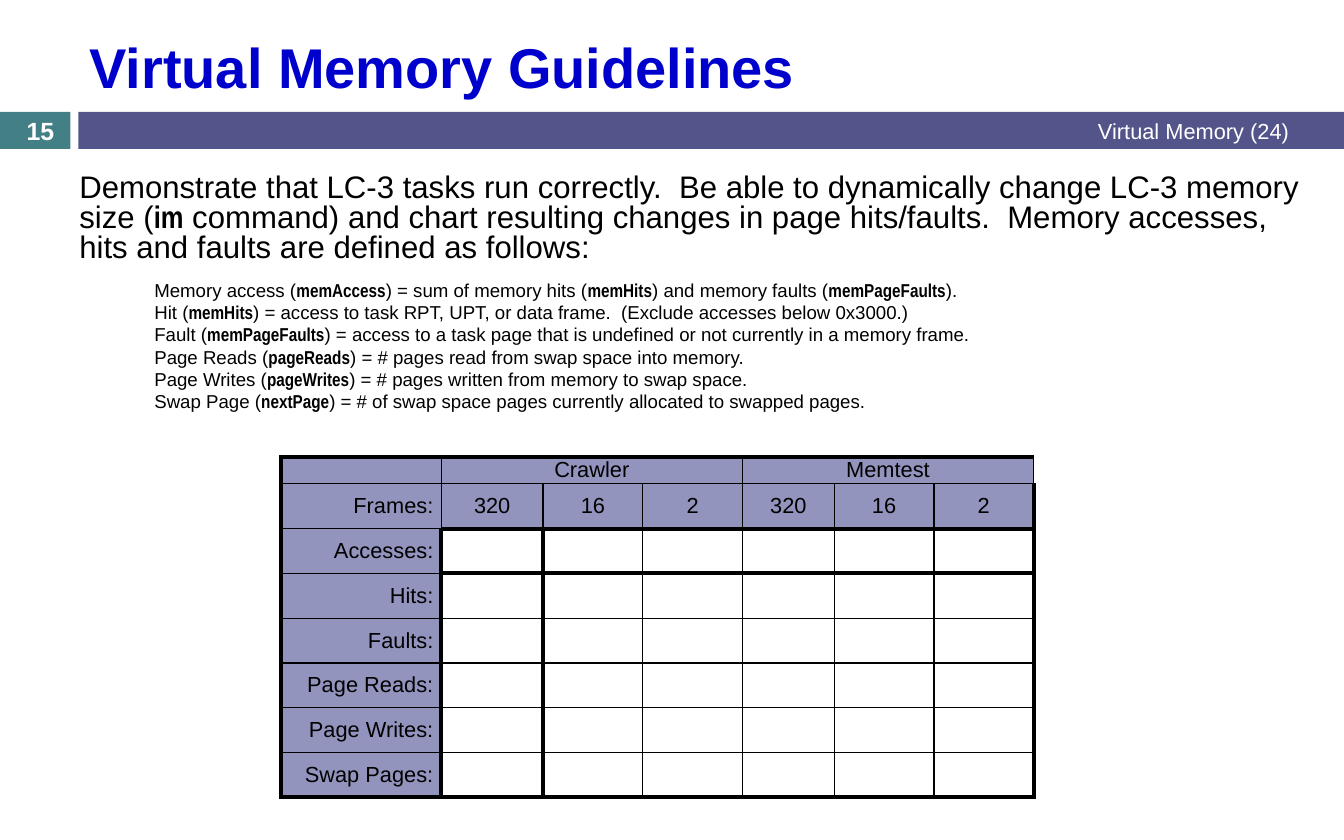
from dataclasses import dataclass

from lxml import etree
from pptx import Presentation
from pptx.dml.color import RGBColor
from pptx.enum.shapes import MSO_SHAPE
from pptx.enum.text import MSO_ANCHOR, PP_ALIGN
from pptx.oxml.ns import qn
from pptx.util import Inches, Pt

LEFT, CENTER, RIGHT = PP_ALIGN.LEFT, PP_ALIGN.CENTER, PP_ALIGN.RIGHT
TOP, MIDDLE = MSO_ANCHOR.TOP, MSO_ANCHOR.MIDDLE
RECT = MSO_SHAPE.RECTANGLE
WIDTH, HEIGHT = 12, 7.5


@dataclass(frozen=True)
class Theme:
    font: str = "Arial"
    code_font: str = "Arial Narrow"
    title: str = "0000CC"
    teal: str = "438086"
    indigo: str = "53548A"
    header: str = "9394BE"
    ink: str = "000000"
    white: str = "FFFFFF"
    title_pt: int = 36
    lead_pt: int = 20
    number_pt: int = 16
    label_pt: int = 14
    list_pt: int = 12
    thick_pt: float = 3
    thin_pt: float = 1


T = Theme()

# Asterisks enclose the names set in the code font.
LEAD = ("Demonstrate that LC-3 tasks run correctly.  Be able to dynamically change LC-3 "
        "memory size (*im* command) and chart resulting changes in page hits/faults.  "
        "Memory accesses, hits and faults are defined as follows:")
DEFINITIONS = [
    "Memory access (*memAccess*) = sum of memory hits (*memHits*) and memory faults (*memPageFaults*).",
    "Hit (*memHits*) = access to task RPT, UPT, or data frame.  (Exclude accesses below 0x3000.)",
    "Fault (*memPageFaults*) = access to a task page that is undefined or not currently in a memory frame.",
    "Page Reads (*pageReads*) = # pages read from swap space into memory.",
    "Page Writes (*pageWrites*) = # pages written from memory to swap space.",
    "Swap Page (*nextPage*) = # of swap space pages currently allocated to swapped pages.",
]
PROGRAMS = ["Crawler", "Memtest"]
FRAMES = ["320", "16", "2"]
MEASURES = ["Accesses:", "Hits:", "Faults:", "Page Reads:", "Page Writes:", "Swap Pages:"]
COL_WIDTHS = [1.43, 0.91, 0.89, 0.89, 0.82, 0.89, 0.89]
ROW_HEIGHTS = [0.24] + [0.4] * (1 + len(MEASURES))
HEADER_ROWS = 2


def style(p, size, color, align=LEFT, bold=False):
    p.alignment = align
    p.font.name, p.font.size, p.font.bold = T.font, Pt(size), bold
    p.font.color.rgb = RGBColor.from_string(color)


def add_bar(s, color, *box):
    sp = s.shapes.add_shape(RECT, *map(Inches, box))
    sp.shadow.inherit = False
    sp.fill.solid()
    sp.fill.fore_color.rgb = RGBColor.from_string(color)
    sp.line.fill.background()


def add_text_frame(s, anchor, *box):
    tf = s.shapes.add_textbox(*map(Inches, box)).text_frame
    tf.word_wrap = True
    tf.vertical_anchor = anchor
    return tf


def add_label(s, text, size, color, align, bold, *box):
    p = add_text_frame(s, MIDDLE, *box).paragraphs[0]
    p.text = text
    style(p, size, color, align, bold)


def fill_paragraph(p, marked, size, before, indent=0):
    """Write text whose asterisk-marked parts are in the bold code font."""
    style(p, size, T.ink)
    p.line_spacing = 0.8
    p.space_before = Pt(before)
    p._p.get_or_add_pPr().set("marL", str(Inches(indent)))
    for i, part in enumerate(marked.split("*")):
        r = p.add_run()
        r.text = part
        r.font.size = Pt(size)
        r.font.name = T.code_font if i % 2 else T.font
        r.font.bold = bool(i % 2)


def add_body(s):
    tf = add_text_frame(s, TOP, 0.61, 1.51, 11.1, 2.5)
    fill_paragraph(tf.paragraphs[0], LEAD, T.lead_pt, 4.6)
    for i, text in enumerate(DEFINITIONS):
        fill_paragraph(tf.add_paragraph(), text, T.list_pt, 2.8 if i else 12, 0.67)


def set_borders(cell, widths):
    tcPr = cell._tc.get_or_add_tcPr()
    for side, width in widths.items():
        ln = etree.SubElement(tcPr, qn(f"a:ln{side}"), w=str(Pt(width)))
        fill = etree.SubElement(ln, qn("a:solidFill"))
        etree.SubElement(fill, qn("a:srgbClr"), val=T.ink)


def rule_width(line, across, count, heavy):
    """Outer rules are thick, and so are the heavy ones where they bound data cells."""
    inner = line in heavy and across
    return T.thick_pt if line in (0, count) or inner else T.thin_pt


def style_cell(cell, row, col):
    rows, cols = len(ROW_HEIGHTS), len(COL_WIDTHS)
    data_row, data_col = row >= HEADER_ROWS, col >= 1
    heavy_rows, heavy_cols = (HEADER_ROWS, HEADER_ROWS + 1), (1, 2)
    set_borders(cell, {
        "L": rule_width(col, data_row, cols, heavy_cols),
        "R": rule_width(col + 1, data_row, cols, heavy_cols),
        "T": rule_width(row, data_col, rows, heavy_rows),
        "B": rule_width(row + 1, data_col, rows, heavy_rows),
    })
    if data_row and data_col:
        cell.fill.background()
    else:
        cell.fill.solid()
        cell.fill.fore_color.rgb = RGBColor.from_string(T.header)
    cell.vertical_anchor = MIDDLE
    cell.margin_left = cell.margin_right = Inches(0.07)
    cell.margin_top = cell.margin_bottom = 0
    style(cell.text_frame.paragraphs[0], T.label_pt, T.ink, CENTER if data_col else RIGHT)


def add_results_table(s):
    n = len(FRAMES)
    grid = [[""] + [name for program in PROGRAMS for name in [program] + [""] * (n - 1)],
            ["Frames:"] + FRAMES * len(PROGRAMS)]
    grid += [[name] + [""] * n * len(PROGRAMS) for name in MEASURES]
    table = s.shapes.add_table(len(ROW_HEIGHTS), len(COL_WIDTHS), Inches(2.51), Inches(4.08),
                               Inches(sum(COL_WIDTHS)), Inches(sum(ROW_HEIGHTS))).table
    table.first_row = table.horz_banding = False
    for column, width in zip(table.columns, COL_WIDTHS):
        column.width = Inches(width)
    for row, height in zip(table.rows, ROW_HEIGHTS):
        row.height = Inches(height)
    for i, texts in enumerate(grid):
        for j, text in enumerate(texts):
            cell = table.cell(i, j)
            cell.text = text
            style_cell(cell, i, j)
    for start in range(1, len(COL_WIDTHS), n):
        table.cell(0, start).merge(table.cell(0, start + n - 1))


def main():
    prs = Presentation()
    prs.slide_width, prs.slide_height = Inches(WIDTH), Inches(HEIGHT)
    s = prs.slides.add_slide(prs.slide_layouts[6])
    add_bar(s, T.teal, 0, 1, 0.63, 0.33)
    add_bar(s, T.indigo, 0.7, 1, WIDTH - 0.7, 0.33)
    add_label(s, "Virtual Memory Guidelines", T.title_pt, T.title, LEFT, True, 0.7, 0.19, 10.91, 0.8)
    add_label(s, "Virtual Memory (24)", T.label_pt, T.white, RIGHT, False, 4.5, 0.99, 7.11, 0.35)
    add_label(s, "15", T.number_pt, T.white, CENTER, True, 0, 1.02, 0.72, 0.3)
    add_results_table(s)
    add_body(s)
    prs.save("out.pptx")


if __name__ == "__main__":
    main()
